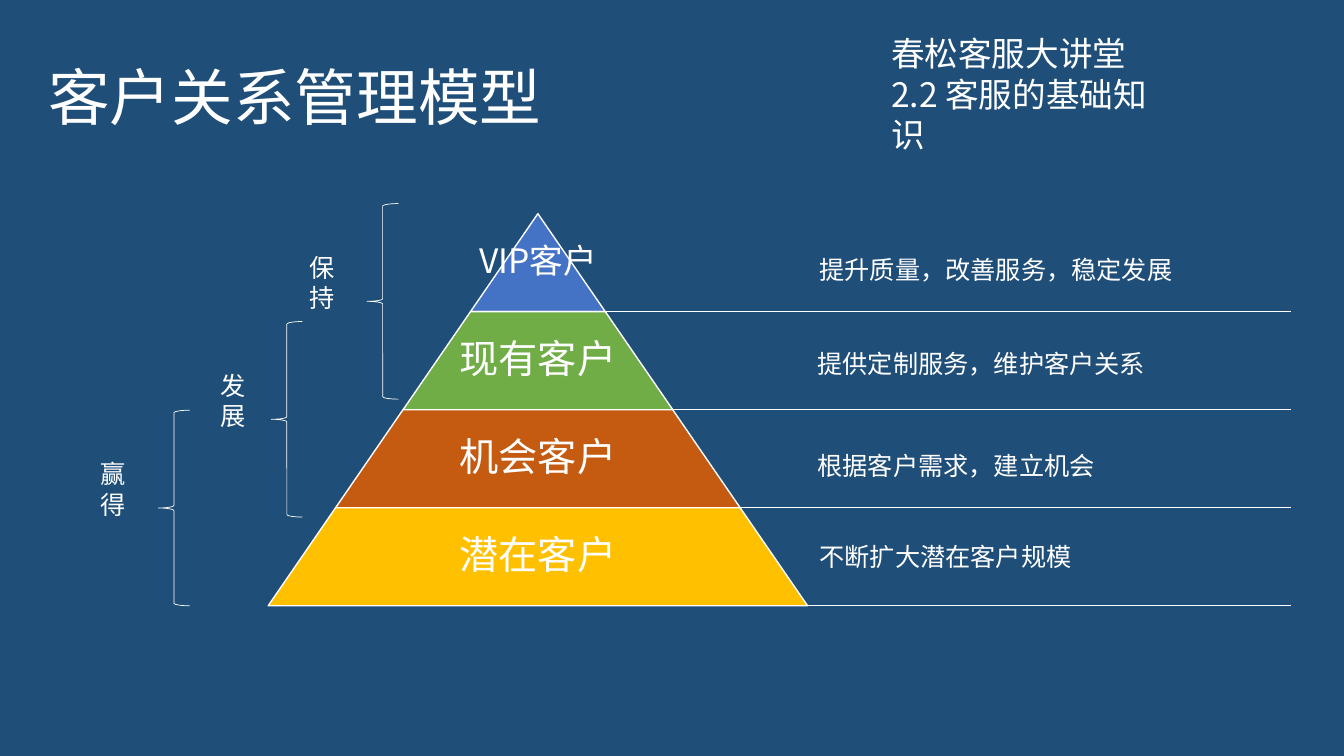
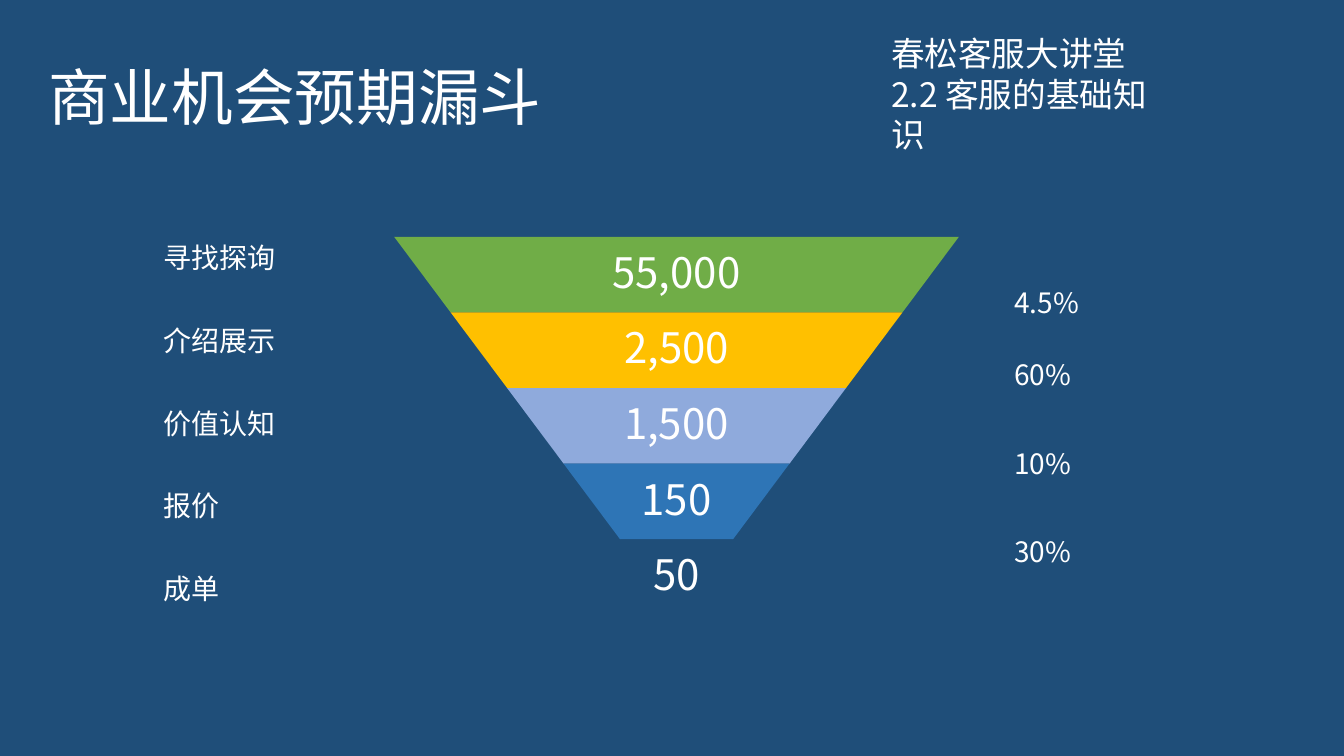
from lxml import etree
from pptx import Presentation
from pptx.dml.color import RGBColor
from pptx.enum import shapes, text
from pptx.oxml.ns import qn
from pptx.util import Inches, Pt

FONT = "Noto Sans CJK SC"
COLORS = {
    "background": "1F4E79",
    "white": "FFFFFF",
    "indigo": "4472C4",
    "green": "70AD47",
    "orange": "C55A11",
    "yellow": "FFC000",
    "periwinkle": "8FAADC",
    "blue": "2E75B6",
}


def color(name):
    """Return the named palette colour."""
    return RGBColor.from_string(COLORS[name])


def style_paragraph(paragraph, size):
    """Give a paragraph the shared white typeface, Latin and East Asian."""
    font = paragraph.font
    font.size = Pt(size)
    font.name = FONT
    font.color.rgb = color("white")
    etree.SubElement(font._element, qn("a:ea"), typeface=FONT)


def add_text(slide, content, box, size, wrap=False):
    """Place one line of plain text in a box."""
    shape = slide.shapes.add_textbox(*map(Inches, box))
    shape.text_frame.word_wrap = wrap
    paragraph = shape.text_frame.paragraphs[0]
    paragraph.text = content
    style_paragraph(paragraph, size)
    return shape


def add_stacked_text(slide, content, box, size):
    """Place text whose characters stand above one another."""
    shape = add_text(slide, content, box, size)
    shape.element.txBody.find(qn("a:bodyPr")).set("vert", "wordArtVert")


def add_shape(slide, preset, box, fill=None, line_width=None):
    """Place a flat preset shape with an optional fill and white outline."""
    shape = slide.shapes.add_shape(preset, *map(Inches, box))
    shape.shadow.inherit = False
    if fill:
        shape.fill.solid()
        shape.fill.fore_color.rgb = color(fill)
    else:
        shape.fill.background()
    if line_width:
        shape.line.color.rgb = color("white")
        shape.line.width = Pt(line_width)
    else:
        shape.line.fill.background()
    return shape


def add_rule(slide, start_x, end_x, y):
    """Draw a thin horizontal line."""
    connector = slide.shapes.add_connector(
        shapes.MSO_CONNECTOR.STRAIGHT,
        Inches(start_x), Inches(y), Inches(end_x), Inches(y))
    connector.line.color.rgb = color("white")
    connector.line.width = Pt(0.5)
    etree.SubElement(connector.element.spPr, qn("a:effectLst"))


def add_layer(slide, box, inset, fill, content, size, line_width=None, rotation=0):
    """Place a trapezoid layer and its centred label."""
    trapezoid = add_shape(slide, shapes.MSO_SHAPE.TRAPEZOID, box, fill, line_width)
    trapezoid.adjustments[0] = inset / min(box[2:])
    trapezoid.rotation = rotation
    frame = add_text(slide, content, box, size, wrap=True).text_frame
    frame.vertical_anchor = text.MSO_ANCHOR.MIDDLE
    frame.margin_left = frame.margin_right = Inches(0.04)
    frame.margin_top = frame.margin_bottom = Inches(0.04)
    frame.paragraphs[0].alignment = text.PP_ALIGN.CENTER
    frame.paragraphs[0].line_spacing = 0.9


def add_titled_slide(presentation, heading):
    """Add a slide with its title and the course heading."""
    slide = presentation.slides.add_slide(presentation.slide_layouts[5])
    title = slide.shapes.title
    title.left, title.top, title.width, title.height = map(
        Inches, (0.38, 0.27, 7.2, 1.45))
    frame = title.text_frame
    frame.text = heading
    frame.word_wrap = True
    frame.auto_size = text.MSO_AUTO_SIZE.NONE
    frame.vertical_anchor = text.MSO_ANCHOR.MIDDLE
    paragraph = frame.paragraphs[0]
    paragraph.alignment = text.PP_ALIGN.LEFT
    paragraph.line_spacing = 0.9
    style_paragraph(paragraph, 44)
    add_text(slide, "春松客服大讲堂", (8.74, 0.28, 2.56, 0.5), 24)
    add_text(slide, "2.2 客服的基础知识", (8.74, 0.68, 3, 0.9), 24, wrap=True)
    return slide


def add_pyramid(slide, left, top, width, height):
    """Draw the customer pyramid with a rule and a strategy beside each layer."""
    layers = [
        ("VIP客户", 24, "indigo", "提升质量，改善服务，稳定发展", 8.03, 2.47),
        ("现有客户", 28, "green", "提供定制服务，维护客户关系", 8.01, 3.41),
        ("机会客户", 28, "orange", "根据客户需求，建立机会", 8.01, 4.42),
        ("潜在客户", 28, "yellow", "不断扩大潜在客户规模", 8.03, 5.32),
    ]
    layer_height = height / len(layers)
    inset = width / len(layers) / 2
    center = left + width / 2
    for index, (name, size, fill, strategy, text_x, text_y) in enumerate(layers):
        half = inset * (index + 1)
        y = top + index * layer_height
        add_layer(slide, (center - half, y, 2 * half, layer_height),
                  inset, fill, name, size, line_width=1)
        add_rule(slide, center + half, 12.8, y + layer_height)
        add_text(slide, strategy, (text_x, text_y, 3.74, 0.4), 18)


def add_stage(slide, name, left, top, label_gap):
    """Draw a brace over two layers with its stage name on the left."""
    add_shape(slide, shapes.MSO_SHAPE.LEFT_BRACE,
              (left, top, 0.31, 1.94), line_width=0.5)
    add_stacked_text(slide, name, (left - label_gap, top + 0.43, 0.59, 0.88), 18)


def add_funnel(slide, left, top, width, height):
    """Draw the funnel of counts, narrowing evenly to the bottom."""
    layers = [("55,000", "green"), ("2,500", "yellow"), ("1,500", "periwinkle"),
              ("150", "blue"), ("50", "background")]
    layer_height = height / len(layers)
    inset = width / len(layers) / 2
    for index, (count, fill) in enumerate(layers):
        box = (left + index * inset, top + index * layer_height,
               width - 2 * index * inset, layer_height)
        add_layer(slide, box, inset, fill, count, 30, rotation=180)


def add_funnel_labels(slide, left, top, pitch):
    """List the sales steps at equal gaps and the conversion rates."""
    steps = ["寻找探询", "介绍展示", "价值认知", "报价", "成单"]
    for index, step in enumerate(steps):
        add_text(slide, step, (left, top + index * pitch, 1.71, 0.44), 20, wrap=True)
    rates = [("4.5%", 0.44), ("60%", 1.16), ("10%", 2.04), ("30%", 2.91)]
    for rate, offset in rates:
        add_text(slide, rate, (left + 8.44, top + offset, 0.85, 0.44), 20)


def build_pyramid_slide(presentation):
    """Build the customer relationship model slide."""
    slide = add_titled_slide(presentation, "客户关系管理模型")
    add_pyramid(slide, 2.66, 2.12, 5.35, 3.89)
    for name, left, top, label_gap in [("赢得", 1.57, 4.07, 0.67),
                                       ("发展", 2.69, 3.19, 0.6),
                                       ("保持", 3.64, 2.02, 0.67)]:
        add_stage(slide, name, left, top, label_gap)


def build_funnel_slide(presentation):
    """Build the opportunity funnel slide."""
    slide = add_titled_slide(presentation, "商业机会预期漏斗")
    add_funnel(slide, 3.91, 2.35, 5.6, 3.75)
    add_funnel_labels(slide, 1.52, 2.34, 0.82)


def main():
    """Build and save the presentation."""
    presentation = Presentation()
    presentation.slide_width = Inches(13.33)
    presentation.slide_height = Inches(7.5)
    background = presentation.slide_master.background.fill
    background.solid()
    background.fore_color.rgb = color("background")
    build_pyramid_slide(presentation)
    build_funnel_slide(presentation)
    presentation.save("out.pptx")


if __name__ == "__main__":
    main()
